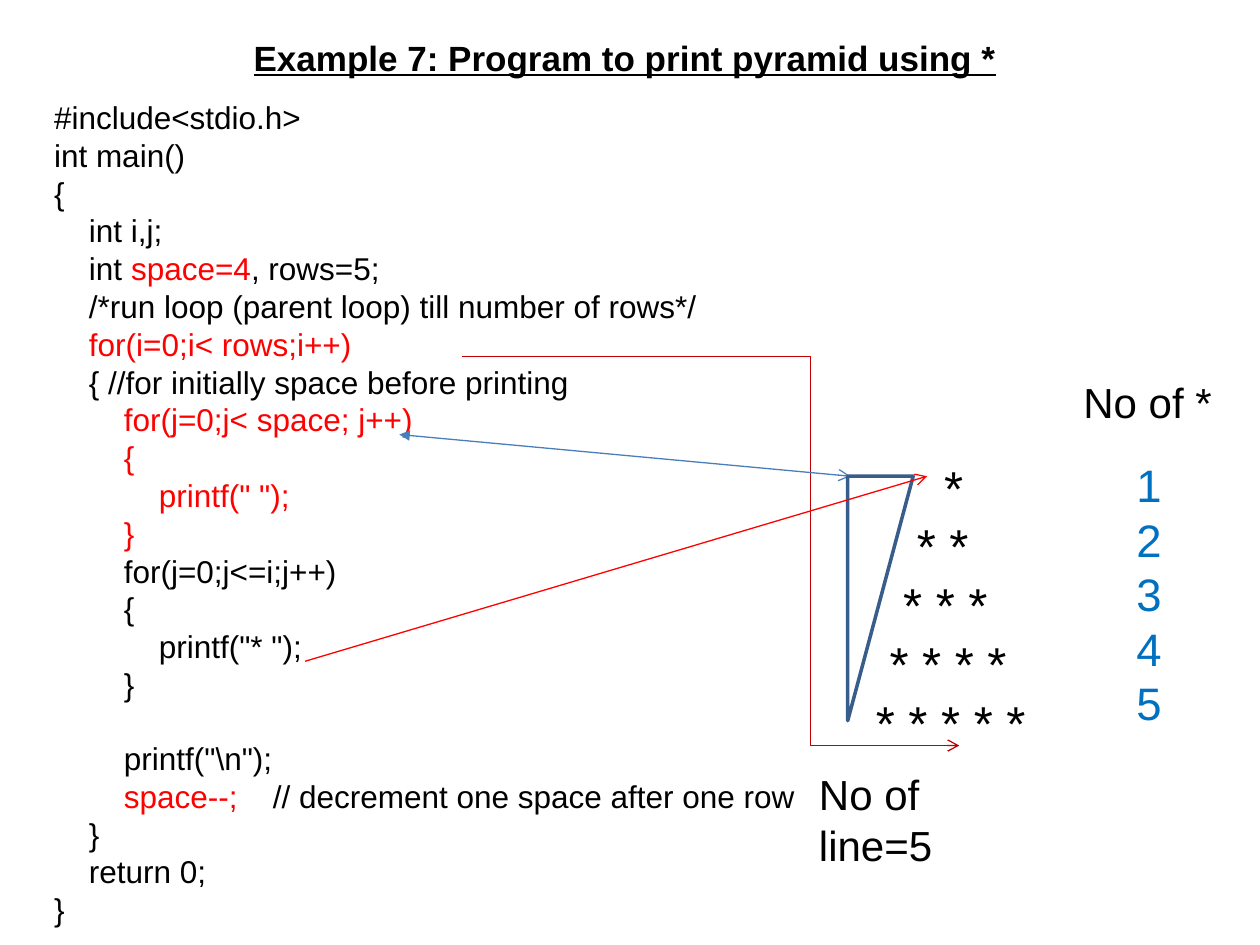
from dataclasses import dataclass

from lxml import etree
from pptx import Presentation
from pptx.dml.color import RGBColor
from pptx.enum.shapes import MSO_CONNECTOR, MSO_SHAPE
from pptx.enum.text import MSO_AUTO_SIZE, PP_ALIGN
from pptx.oxml.ns import qn
from pptx.util import Cm, Pt

CENTER = PP_ALIGN.CENTER
LEFT = PP_ALIGN.LEFT
GROW = MSO_AUTO_SIZE.SHAPE_TO_FIT_TEXT
STRAIGHT = MSO_CONNECTOR.STRAIGHT
ELBOW = MSO_CONNECTOR.ELBOW
RIGHT_TRIANGLE = MSO_SHAPE.RIGHT_TRIANGLE


@dataclass(frozen=True)
class Theme:
    font: str = "Arial"
    ink: str = "000000"
    accent: str = "FF0000"
    count: str = "0070C0"
    row_arrow: str = "C00000"
    space_arrow: str = "4A7EBB"
    triangle: str = "385D8A"
    title_size: float = 20
    code_size: float = 18
    star_size: float = 28
    count_size: float = 26
    label_size: float = 24
    space_width: float = 0.278
    line_height: float = 1.15
    thin: float = 0.75
    thick: float = 2


class SlideBuilder:
    def __init__(self, slide, theme):
        self.slide = slide
        self.theme = theme

    def text(self, box, lines, size, color=None, align=LEFT, indents=None, gaps=None, **formats):
        frame = self.slide.shapes.add_textbox(*map(Cm, box)).text_frame
        frame.word_wrap = True
        frame.auto_size = GROW
        for index, line in enumerate(lines):
            paragraph = frame.paragraphs[0] if index == 0 else frame.add_paragraph()
            paragraph.alignment = align
            if indents:
                margin = Pt(indents[index] * size * self.theme.space_width)
                paragraph._p.get_or_add_pPr().set("marL", str(margin))
            if gaps and index in gaps:
                paragraph.space_before = Pt(gaps[index])
            runs = [(line, color or self.theme.ink)] if isinstance(line, str) else line
            for words, run_color in runs:
                run = paragraph.add_run()
                run.text = words
                values = {"name": self.theme.font, "size": Pt(size), **formats}
                for key, value in values.items():
                    setattr(run.font, key, value)
                run.font.color.rgb = RGBColor.from_string(run_color)

    def arrow(self, start, end, color, kind=STRAIGHT, head=None, bend=None):
        connector = self.slide.shapes.add_connector(kind, *map(Cm, start + end))
        connector.line.color.rgb = RGBColor.from_string(color)
        connector.line.width = Pt(self.theme.thin)
        properties = connector._element.spPr
        outline = properties.find(qn("a:ln"))
        if head:
            etree.SubElement(outline, qn("a:headEnd"), type=head)
        etree.SubElement(outline, qn("a:tailEnd"), type="arrow")
        etree.SubElement(properties, qn("a:effectLst"))
        if bend:
            guides = properties.find(qn("a:prstGeom")).find(qn("a:avLst"))
            etree.SubElement(guides, qn("a:gd"), name="adj1", fmla=f"val {round(bend * 100000)}")

    def hanging_triangle(self, box, color):
        triangle = self.slide.shapes.add_shape(RIGHT_TRIANGLE, *map(Cm, box))
        triangle.shadow.inherit = False
        triangle.fill.background()
        triangle.line.color.rgb = RGBColor.from_string(color)
        triangle.line.width = Pt(self.theme.thick)
        triangle._element.spPr.find(qn("a:xfrm")).set("flipV", "1")


def main():
    theme = Theme()
    ink, accent = theme.ink, theme.accent
    code = [
        "#include<stdio.h>",
        "int main()",
        "{",
        "    int i,j;",
        [("    int ", ink), ("space=4", accent), (", rows=5;", ink)],
        "    /*run loop (parent loop) till number of rows*/",
        [("    for(i=0;i< rows;i++)", accent)],
        "    { //for initially space before printing",
        [("        for(j=0;j< space; j++)", accent)],
        [("        {", accent)],
        [('            printf(" ");', accent)],
        [("        }", accent)],
        "        for(j=0;j<=i;j++)",
        "        {",
        '            printf("* ");',
        "        }",
        r'        printf("\n");',
        [("        space--;    ", accent), ("// decrement one space after one row", ink)],
        "    }",
        "    return 0;",
        "}",
    ]
    row_count = 5
    row_numbers = range(1, row_count + 1)
    newline_step = 16

    presentation = Presentation()
    presentation.slide_width = Cm(25.4)
    presentation.slide_height = Cm(19.05)
    slide = presentation.slides.add_slide(presentation.slide_layouts[6])
    builder = SlideBuilder(slide, theme)

    builder.text((1.8, 0.61, 21.59, 1.12), ["Example 7: Program to print pyramid using *"],
                 theme.title_size, align=CENTER, bold=True, underline=True)
    builder.text((0.84, 1.85, 15.44, 17.02), code, theme.code_size,
                 gaps={newline_step: theme.code_size * theme.line_height})
    builder.text((16.31, 9.09, 4.88, 6.2), [" ".join("*" * row) for row in row_numbers],
                 theme.star_size, indents=[9, 7, 6, 5, 4])

    builder.arrow((9.32, 7.19), (19.34, 15.03), theme.row_arrow, kind=ELBOW, bend=0.7)
    builder.arrow((8.05, 8.76), (17.14, 9.6), theme.space_arrow, head="triangle")

    builder.text((16.26, 15.37, 4.88, 2.29), ["No of line=5"], theme.label_size)
    builder.text((21.59, 7.47, 3.38, 1.27), ["No of *"], theme.label_size)
    builder.text((21.64, 9.09, 2.44, 5.77), [str(row) for row in row_numbers],
                 theme.count_size, color=theme.count, indents=[4] * row_count)

    builder.hanging_triangle((17.09, 9.6, 1.32, 4.93), theme.triangle)
    builder.arrow((6.15, 13.33), (18.69, 9.6), accent)

    presentation.save("out.pptx")


if __name__ == "__main__":
    main()
